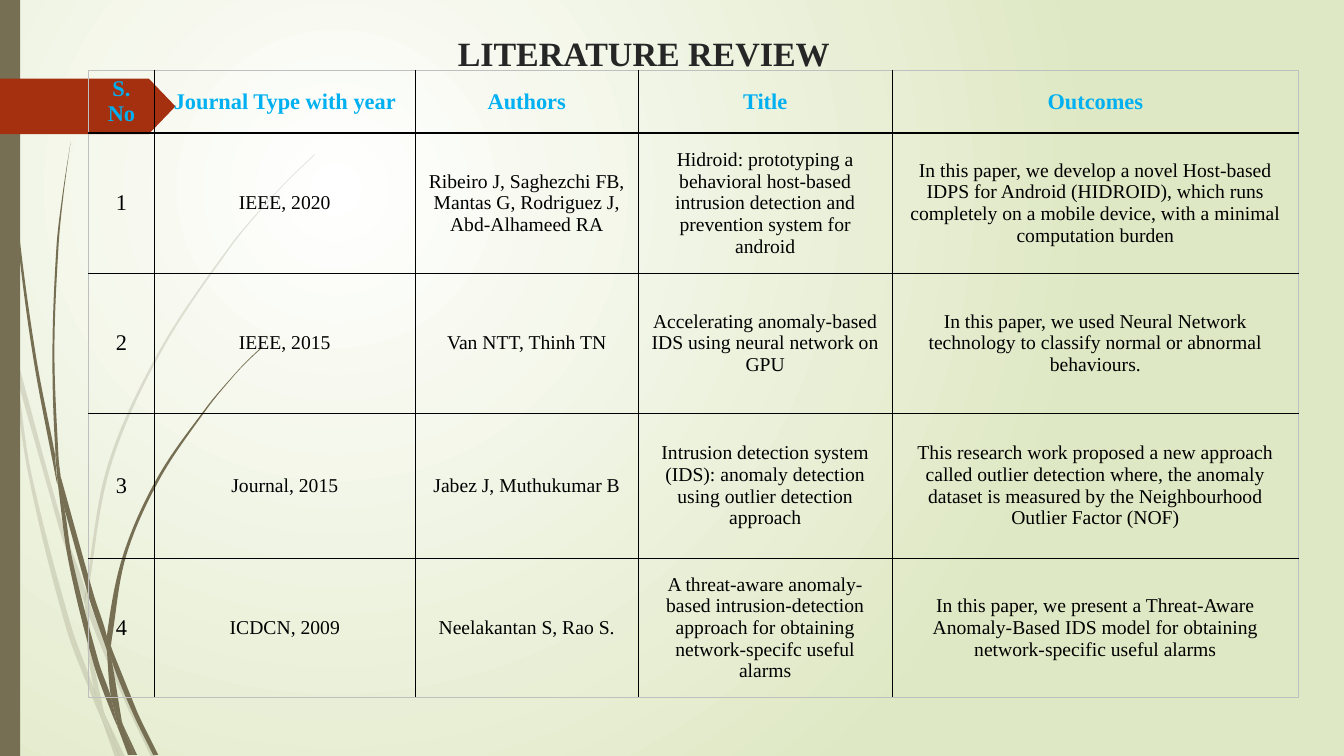
from dataclasses import dataclass
from math import dist

from lxml.etree import SubElement
from pptx import Presentation
from pptx.dml.color import RGBColor
from pptx.enum.shapes import MSO_SHAPE
from pptx.enum.text import MSO_ANCHOR, MSO_AUTO_SIZE, PP_ALIGN
from pptx.oxml.ns import qn
from pptx.util import Inches, Pt

FONT = "Times New Roman"
OLIVE, RUST, SKY, BLACK, GREY = "766F54", "A53010", "00B0F0", "000000", "BFBFBF"
Point = tuple[float, float]


@dataclass(frozen=True)
class Paper:
    journal: str
    authors: str
    title: str
    outcome: str


# Outlines of the grass blades, section by section
FAINT_GRASS: list[list[Point]] = [
    [(0.11, 3.5), (0.09, 3.22), (0, 2.82), (0, 2.99), (0.1, 3.44)],
    [(0.58, 5.22), (0.84, 5.99), (0.85, 5.86), (0.62, 5.2), (0.14, 3.45), (0.17, 3.76)],
    [(0.92, 6.07), (0.88, 5.96), (0.88, 6.1), (1.23, 6.94), (1.5, 7.51), (1.55, 7.51),
     (1.27, 6.92)],
    [(1.19, 7.51), (1.24, 7.51), (1.05, 7.11)],
    [(0.93, 6.83), (0.7, 6.19), (0.31, 4.69), (0.17, 3.76), (0.11, 3.5), (0.28, 4.7),
     (0.65, 6.21), (0.92, 6.93), (1.01, 7.14), (0.99, 7.07)],
    [(0.84, 5.99), (0.87, 6.46), (0.93, 6.83), (0.96, 6.92), (1.05, 7.11), (1.03, 7.06),
     (0.91, 6.46), (0.88, 6.1), (0.88, 6.08)],
    [(0.88, 5.84), (1.1, 4.62), (1.6, 3.49), (2.29, 2.45), (2.68, 1.98), (2.9, 1.75),
     (3.12, 1.54), (3.12, 1.53), (2.89, 1.75), (2.68, 1.97), (2.28, 2.44), (1.58, 3.48),
     (1.07, 4.61), (0.85, 5.84), (0.85, 5.86), (0.88, 5.96)],
    [(1.01, 7.14), (1.14, 7.51), (1.19, 7.51)],
    [(0.88, 6.08), (0.88, 6.1), (0.88, 5.96), (0.85, 5.86), (0.84, 5.99)],
    [(0.96, 6.92), (0.93, 6.83), (0.99, 7.07), (1.01, 7.14), (1.19, 7.51), (1.05, 7.11)],
]
SOLID_GRASS: list[list[Point]] = [
    [(0.07, 1.1), (0.17, 2.33), (0.33, 3.55), (0.56, 4.77), (0.57, 4.81), (0.55, 4.57),
     (0.55, 4.53), (0.36, 3.55), (0.19, 2.32), (0.08, 1.09), (0.05, 0.48), (0.04, 0),
     (0.03, 0), (0.04, 0.48)],
    [(0.88, 5.92), (1.06, 6.45), (1.06, 6.31), (0.93, 5.9), (0.6, 4.72), (0.64, 5.05)],
    [(1.13, 6.49), (1.1, 6.41), (1.11, 6.56), (1.32, 7.08), (1.52, 7.49), (1.57, 7.49),
     (1.36, 7.06)],
    [(1.1, 6.91), (0.98, 6.57), (0.72, 5.56), (0.64, 5.05), (0.57, 4.77), (0.68, 5.57),
     (0.93, 6.59), (1.11, 7.08), (1.17, 7.22), (1.16, 7.17)],
    [(0.6, 4.72), (0.58, 4.53), (0.54, 3.49), (0.58, 2.45), (0.63, 1.93), (0.7, 1.41),
     (0.62, 1.93), (0.56, 2.45), (0.52, 3.49), (0.55, 4.49)],
    [(1.33, 7.49), (1.36, 7.49), (1.22, 7.19)],
    [(0.57, 4.77), (0.64, 5.05), (0.6, 4.72), (0.55, 4.49), (0.55, 4.53)],
    [(1.11, 6.33), (1.25, 5.52), (1.58, 4.76), (2.05, 4.06), (2.31, 3.74), (2.45, 3.59),
     (2.61, 3.44), (2.6, 3.44), (2.45, 3.58), (2.31, 3.73), (2.04, 4.05), (1.56, 4.74),
     (1.22, 5.51), (1.06, 6.31), (1.1, 6.41)],
    [(1.17, 7.22), (1.27, 7.49), (1.31, 7.49)],
    [(1.06, 6.45), (1.1, 6.91), (1.16, 7.06), (1.22, 7.19), (1.21, 7.16), (1.11, 6.56),
     (1.09, 6.51)],
    [(1.06, 6.45), (1.09, 6.51), (1.11, 6.56), (1.1, 6.41), (1.06, 6.31)],
    [(1.16, 7.06), (1.1, 6.91), (1.16, 7.17), (1.17, 7.22), (1.3, 7.49), (1.33, 7.49),
     (1.22, 7.19)],
]

HEADINGS = ["S. No", "Journal Type with year", "Authors", "Title", "Outcomes"]
COLUMN_WIDTHS = [0.65, 2.59, 2.21, 2.52, 4.03]
ROW_HEIGHTS = [0.62, 1.39, 1.39, 1.44, 1.38]
PAPERS = [
    Paper("IEEE, 2020", "Ribeiro J, Saghezchi FB, Mantas G, Rodriguez J, Abd-Alhameed RA",
          "Hidroid: prototyping a behavioral host-based intrusion detection and "
          "prevention system for android",
          "In this paper, we develop a novel Host-based IDPS for Android (HIDROID), which "
          "runs completely on a mobile device, with a minimal computation burden"),
    Paper("IEEE, 2015", "Van NTT, Thinh TN",
          "Accelerating anomaly-based IDS using neural network on GPU",
          "In this paper, we used Neural Network technology to classify normal or "
          "abnormal behaviours."),
    Paper("Journal, 2015", "Jabez J, Muthukumar B",
          "Intrusion detection system (IDS): anomaly detection using outlier "
          "detection approach",
          "This research work proposed a new approach called outlier detection where, the "
          "anomaly dataset is measured by the Neighbourhood Outlier Factor (NOF)"),
    Paper("ICDCN, 2009", "Neelakantan S, Rao S.",
          "A threat-aware anomaly-based intrusion-detection approach for obtaining "
          "network-specifc useful alarms",
          "In this paper, we present a Threat-Aware Anomaly-Based IDS model for obtaining "
          "network-specific useful alarms"),
]


def rgb(color: str) -> RGBColor:
    return RGBColor.from_string(color)


def paint(shape, color: str, opacity: int = 100) -> None:
    shape.shadow.inherit = False
    shape.line.fill.background()
    shape.fill.solid()
    shape.fill.fore_color.rgb = rgb(color)
    if opacity < 100:
        tint = shape.element.spPr.find(qn("a:solidFill"))[0]
        SubElement(tint, qn("a:alpha"), val=str(opacity * 1000))


def handle(before: Point, knot: Point, after: Point) -> Point:
    """Control point on the way to `after`, smooth unless the knot is a corner."""
    reach, back = dist(knot, after), dist(before, knot)
    ahead = [(a - k) / reach for k, a in zip(knot, after)]
    behind = [(k - b) / back for b, k in zip(before, knot)]
    if ahead[0] * behind[0] + ahead[1] * behind[1] > 0.7:
        chord = dist(before, after)
        ahead = [(a - b) / chord for b, a in zip(before, after)]
    return knot[0] + ahead[0] * reach / 3, knot[1] + ahead[1] * reach / 3


def bend(shape) -> None:
    """Turn the straight sides of a closed freeform into curves."""
    knots = [(int(pt.get("x")), int(pt.get("y"))) for pt in shape.element.iter(qn("a:pt"))]
    sides = list(shape.element.iter(qn("a:lnTo")))
    for i, side in enumerate(sides):
        before, start, end = knots[i - 1], knots[i], knots[i + 1]
        after = knots[(i + 2) % len(knots)]
        side.tag = qn("a:cubicBezTo")
        for index, (x, y) in enumerate((handle(before, start, end), handle(after, end, start))):
            control = SubElement(side, qn("a:pt"), x=str(round(x)), y=str(round(y)))
            side.insert(index, control)


def draw_grass(slide, outlines: list[list[Point]], opacity: int) -> None:
    for outline in outlines:
        start, *rest = [(Inches(x), Inches(y)) for x, y in outline]
        builder = slide.shapes.build_freeform(*start)
        builder.add_line_segments(rest, close=False)
        section = builder.convert_to_shape()
        bend(section)
        SubElement(section.element.find(".//" + qn("a:path")), qn("a:close"))
        paint(section, OLIVE, opacity)


def draw_background(slide) -> None:
    """Set a circular gradient with its focus in the upper left."""
    fill = slide.background.fill
    fill.gradient()
    for stop, color, position in zip(fill.gradient_stops, ("FFFFFF", "DFE8C4"), (0, 1)):
        stop.color.rgb = rgb(color)
        stop.position = position
    gradient = slide.element.find(".//" + qn("a:gradFill"))
    gradient.remove(gradient.find(qn("a:lin")))
    circle = SubElement(gradient, qn("a:path"), path="circle")
    SubElement(circle, qn("a:fillToRect"), l="50000", t="50000", r="100000", b="100000")


def draw_title(slide, text: str) -> None:
    title = slide.shapes.title
    title.left, title.top, title.width, title.height = map(Inches, (1.57, 0.27, 9.63, 0.69))
    frame = title.text_frame
    frame.text = text
    frame.auto_size = MSO_AUTO_SIZE.NONE
    frame.vertical_anchor = MSO_ANCHOR.TOP
    format_text(frame.paragraphs[0], 24.3, "262626", True)


def format_text(paragraph, size: float, color: str, bold: bool) -> None:
    paragraph.alignment = PP_ALIGN.CENTER
    font = paragraph.runs[0].font
    font.name, font.size, font.bold = FONT, Pt(size), bold
    font.color.rgb = rgb(color)


def set_borders(cell, colors: dict[str, str]) -> None:
    properties = cell._tc.get_or_add_tcPr()
    for index, (side, color) in enumerate(colors.items()):
        border = SubElement(properties, qn(f"a:{side}"), w=str(Pt(1)))
        SubElement(SubElement(border, qn("a:solidFill")), qn("a:srgbClr"), val=color)
        properties.insert(index, border)


def draw_review_table(slide) -> None:
    rows = [HEADINGS] + [[str(number), paper.journal, paper.authors, paper.title, paper.outcome]
                         for number, paper in enumerate(PAPERS, 1)]
    table = slide.shapes.add_table(len(rows), len(HEADINGS), Inches(0.88), Inches(0.7),
                                   Inches(12), Inches(6.23)).table
    table.first_row = table.horz_banding = False
    for column, width in zip(table.columns, COLUMN_WIDTHS):
        column.width = Inches(width)
    for r, texts in enumerate(rows):
        table.rows[r].height = Inches(ROW_HEIGHTS[r])
        for c, text in enumerate(texts):
            cell = table.cell(r, c)
            cell.text_frame.text = text
            cell.vertical_anchor = MSO_ANCHOR.MIDDLE
            cell.fill.background()
            format_text(cell.text_frame.paragraphs[0], 16 if r == 0 or c == 0 else 14,
                        SKY if r == 0 else BLACK, r == 0)
            outer = {"lnL": c == 0, "lnR": c == len(texts) - 1,
                     "lnT": r == 0, "lnB": r == len(rows) - 1}
            set_borders(cell, {side: GREY if edge else BLACK for side, edge in outer.items()})


def main() -> None:
    deck = Presentation()
    deck.slide_width, deck.slide_height = Inches(13.33), Inches(7.5)
    slide = deck.slides.add_slide(deck.slide_layouts[5])
    draw_background(slide)
    draw_grass(slide, FAINT_GRASS, 20)
    draw_grass(slide, SOLID_GRASS, 100)
    add_shape = slide.shapes.add_shape
    paint(add_shape(MSO_SHAPE.RECTANGLE, 0, 0, Inches(0.2), Inches(7.5)), OLIVE)
    page_arrow = add_shape(MSO_SHAPE.PENTAGON, 0, Inches(0.78), Inches(1.74), Inches(0.55))
    page_arrow.adjustments[0] = 0.48
    paint(page_arrow, RUST)
    draw_title(slide, "LITERATURE REVIEW")
    draw_review_table(slide)
    deck.save("out.pptx")


if __name__ == "__main__":
    main()
